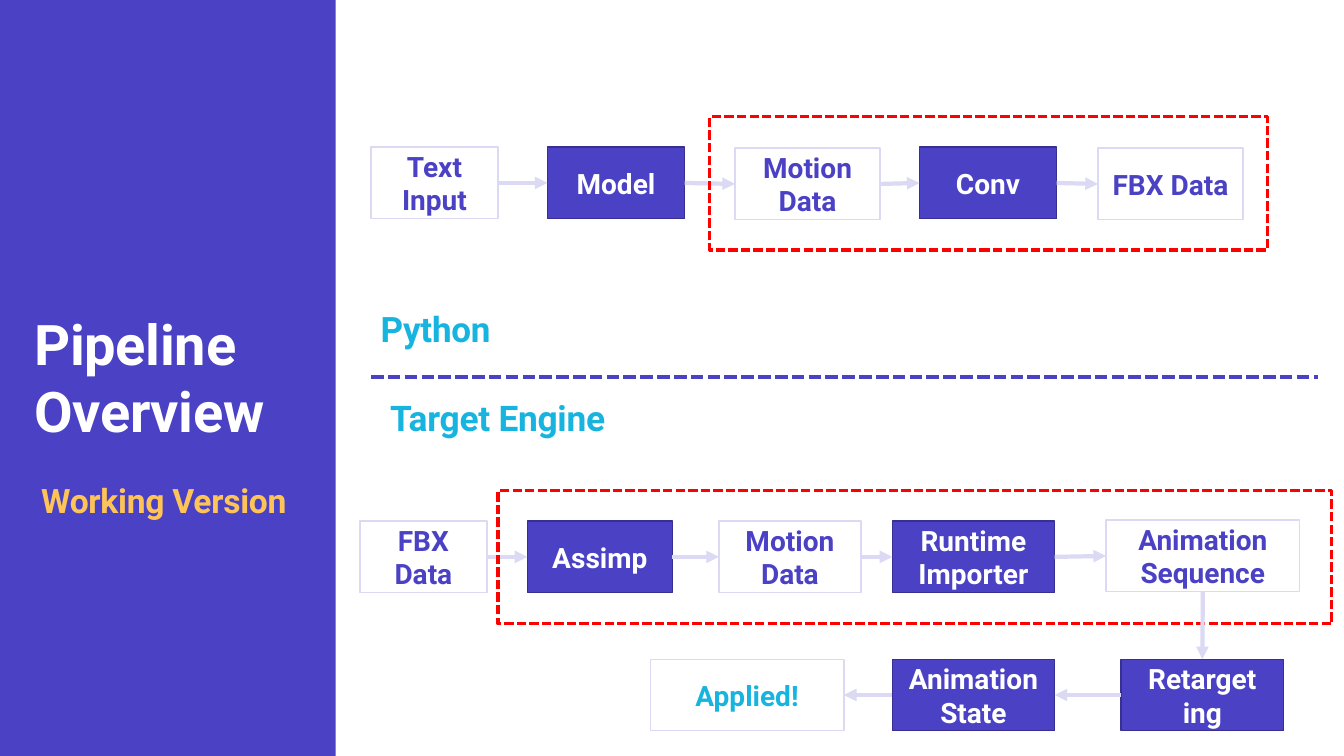
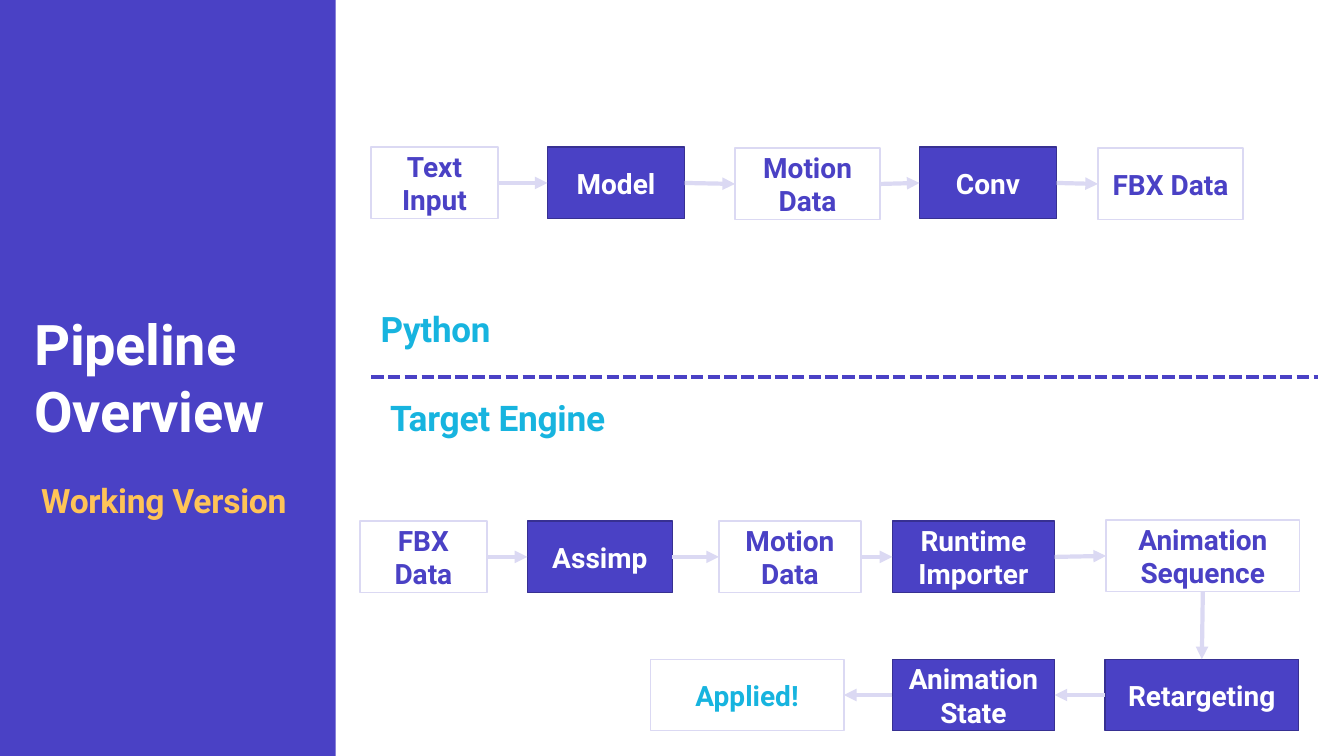
import itertools

import pptx
import pptx.dml.color
import pptx.enum.dml
import pptx.enum.shapes
import pptx.enum.text
import pptx.oxml
import pptx.oxml.ns
import pptx.util

Inches = pptx.util.Inches
Pt = pptx.util.Pt
RGBColor = pptx.dml.color.RGBColor
ALIGN = pptx.enum.text.PP_ALIGN
ANCHOR = pptx.enum.text.MSO_ANCHOR
DASH = pptx.enum.dml.MSO_LINE.SQUARE_DOT
RECTANGLE = pptx.enum.shapes.MSO_SHAPE.RECTANGLE
STRAIGHT = pptx.enum.shapes.MSO_CONNECTOR.STRAIGHT

WHITE = RGBColor(0xFF, 0xFF, 0xFF)
INDIGO = RGBColor(0x4A, 0x41, 0xC5)
DARK_INDIGO = RGBColor(0x37, 0x30, 0x92)
LAVENDER = RGBColor(0xDB, 0xD9, 0xF3)
CYAN = RGBColor(0x17, 0xB4, 0xDF)
AMBER = RGBColor(0xFF, 0xC4, 0x57)
RED = RGBColor(0xFF, 0x00, 0x00)

# Fill, outline and text colour of each kind of box
STEP = (INDIGO, DARK_INDIGO, WHITE)
DATA = (None, LAVENDER, INDIGO)
RESULT = (None, LAVENDER, CYAN)

TOP, LEFT, BOTTOM, RIGHT = range(4)
BOX_HEIGHT = 0.71
HIGHLIGHT_HEIGHT = 1.32
TIGHT = -20  # letter spacing in hundredths of a point

# Text, left, top, width, kind
PYTHON_ROW = [
    ("Text Input", 3.68, 1.46, 1.26, DATA),
    ("Model", 5.43, 1.46, 1.36, STEP),
    ("Motion Data", 7.29, 1.47, 1.44, DATA),
    ("Conv", 9.12, 1.46, 1.36, STEP),
    ("FBX Data", 10.89, 1.47, 1.44, DATA),
]
ENGINE_ROW = [
    ("FBX\nData", 3.57, 5.17, 1.26, DATA),
    ("Assimp", 5.23, 5.17, 1.44, STEP),
    ("Motion\nData", 7.13, 5.17, 1.41, DATA),
    ("Runtime\nImporter", 8.85, 5.17, 1.61, STEP),
    ("Animation\nSequence", 10.97, 5.16, 1.92, DATA),
]
FINAL_ROW = [
    ("Animation\nState", 8.85, 6.54, 1.61, STEP),
    ("Applied!", 6.45, 6.54, 1.92, RESULT),
]


class Deck:
    """Holds the presentation, its shared style and the current slide."""

    font = {"name": "Roboto", "bold": True}

    def __init__(self):
        self.prs = pptx.Presentation()
        self.prs.slide_width = Inches(13.33)
        self.prs.slide_height = Inches(7.5)
        self.layout = self.prs.slide_layouts[5]
        self.slide = None

    def add_slide(self, title):
        self.slide = self.prs.slides.add_slide(self.layout)
        if len(self.prs.slides) == 1:
            self.add_side_panel()
        sp = self.slide.shapes.title
        place = {"left": 0.24, "top": 2.93, "width": 2.97, "height": 1.62}
        for name, value in place.items():
            setattr(sp, name, Inches(value))
        self.set_text(sp, title, WHITE, 40, align=ALIGN.LEFT, spacing=TIGHT)

    def add_side_panel(self):
        """Put the coloured panel on the layout, behind every slide."""
        sp = self.rect(0, 0, 3.33, 7.5, fill=INDIGO)
        sp.element.xpath(".//p:cNvPr")[0].set("id", "20")
        self.layout.shapes.element.insert(2, sp.element)

    def set_text(self, sp, text, color, size, align=ALIGN.CENTER,
                 anchor=ANCHOR.MIDDLE, spacing=None, line_spacing=None):
        tf = sp.text_frame
        tf.text = text
        tf.word_wrap = True
        tf.auto_size = pptx.enum.text.MSO_AUTO_SIZE.NONE
        tf.vertical_anchor = anchor
        for p in tf.paragraphs:
            p.alignment = align
            p.line_spacing = line_spacing
            for r in p.runs:
                for name, value in {**self.font, "size": Pt(size)}.items():
                    setattr(r.font, name, value)
                r.font.color.rgb = color
        if spacing is not None:
            for properties in sp.element.xpath(".//a:rPr"):
                properties.set("spc", str(spacing))

    def label(self, text, left, top, width, height, color, size, **style):
        sp = self.slide.shapes.add_textbox(
            *map(Inches, (left, top, width, height)))
        self.set_text(sp, text, color, size, spacing=TIGHT, **style)

    def rect(self, left, top, width, height, fill=None, line=None,
             weight=1, dash=None):
        sp = self.slide.shapes.add_shape(
            RECTANGLE, *map(Inches, (left, top, width, height)))
        sp.shadow.inherit = False
        if fill is None:
            sp.fill.background()
        else:
            sp.fill.solid()
            sp.fill.fore_color.rgb = fill
        if line is None:
            sp.line.fill.background()
        else:
            self.stroke(sp.line, line, weight, dash)
        return sp

    def box(self, text, left, top, width, kind):
        fill, line, color = kind
        sp = self.rect(left, top, width, BOX_HEIGHT, fill, line)
        self.set_text(sp, text, color, 20)
        return sp

    def highlight(self, left, top, width):
        self.rect(left, top, width, HIGHLIGHT_HEIGHT, line=RED, weight=2.25,
                  dash=DASH)

    def stroke(self, line, color, weight, dash=None):
        line.color.rgb = color
        line.width = Pt(weight)
        if dash is not None:
            line.dash_style = dash

    def line(self, x1, y1, x2, y2, color, dash=None):
        sp = self.slide.shapes.add_connector(
            STRAIGHT, *map(Inches, (x1, y1, x2, y2)))
        self.stroke(sp.line, color, 3, dash)
        sp.element.spPr.append(pptx.oxml.parse_xml(
            "<a:effectLst %s/>" % pptx.oxml.ns.nsdecls("a")))
        return sp

    def arrow(self, start, end, start_side=RIGHT, end_side=LEFT):
        sp = self.line(0, 0, 1, 1, LAVENDER)
        sp.begin_connect(start, start_side)
        sp.end_connect(end, end_side)
        sp.element.spPr.get_or_add_ln().append(pptx.oxml.parse_xml(
            '<a:tailEnd type="triangle" %s/>' % pptx.oxml.ns.nsdecls("a")))

    def row(self, steps):
        """Draw boxes joined left to right and return them."""
        boxes = [self.box(*step) for step in steps]
        for start, end in itertools.pairwise(boxes):
            self.arrow(start, end)
        return boxes


def add_pipeline(deck, retarget, highlights=()):
    deck.add_slide("Pipeline\vOverview")
    deck.label("Working Version", 0.31, 4.71, 2.97, 1.62, AMBER, 24,
               align=ALIGN.LEFT, anchor=ANCHOR.TOP)
    deck.label("Python", 3.07, 2.84, 2.5, 0.84, CYAN, 25)
    deck.line(3.68, 3.74, 13.07, 3.74, INDIGO, DASH)
    deck.label("Target Engine", 3.57, 3.76, 2.73, 0.84, CYAN, 25.2,
               line_spacing=0.8)

    deck.row(PYTHON_ROW)
    sequence = deck.row(ENGINE_ROW)[-1]
    for area in highlights:
        deck.highlight(*area)

    retargeting = deck.box(*retarget)
    deck.arrow(sequence, retargeting, BOTTOM, TOP)
    finals = [deck.box(*step) for step in FINAL_ROW]
    for start, end in itertools.pairwise([retargeting, *finals]):
        deck.arrow(start, end, LEFT, RIGHT)


def main():
    deck = Deck()
    add_pipeline(deck, ("Retarget\ning", 11.12, 6.54, 1.61, STEP),
                 highlights=[(7.04, 1.16, 5.53), (4.94, 4.87, 8.27)])
    add_pipeline(deck, ("Retargeting", 10.96, 6.54, 1.92, STEP))
    deck.prs.save("out.pptx")


if __name__ == "__main__":
    main()
